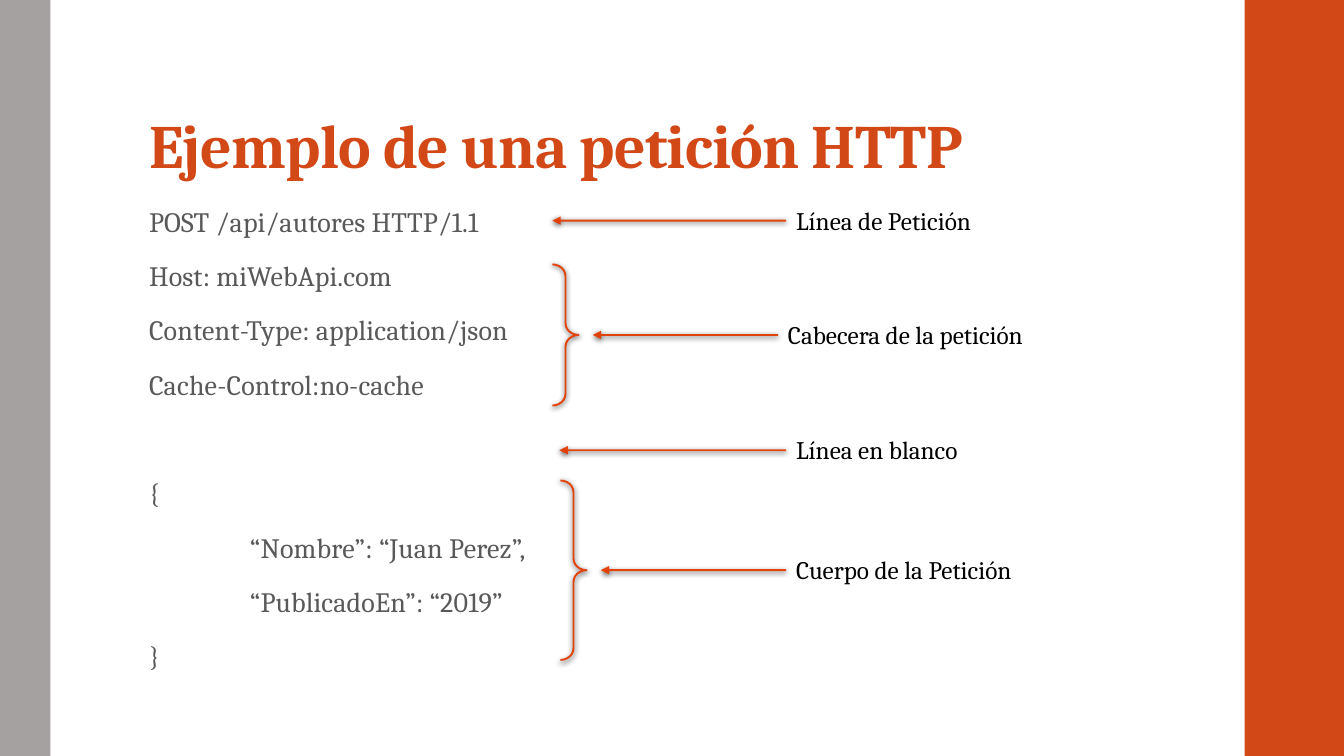
from lxml import etree
from pptx import Presentation
from pptx.dml.color import RGBColor
from pptx.enum import shapes, text
from pptx.oxml import parse_xml
from pptx.oxml.ns import nsdecls, qn
from pptx.util import Pt

WIDTH, HEIGHT = 960, 540
FONT = "Cambria"
ACCENT, GREY, BODY, MARK = "D34817", "A6A1A1", "595959", "E53C00"

# Request lines: text, indent, space before
REQUEST = [
    ("POST /api/autores HTTP/1.1", 0, 14),
    ("Host: miWebApi.com", 0, 14),
    ("Content-Type: application/json", 0, 14),
    ("Cache-Control:no-cache", 0, 14),
    ("{", 0, 52.7),
    ("“Nombre”: “Juan Perez”,", 72, 14),
    ("“PublicadoEn”: “2019”", 72, 14),
    ("}", 0, 14),
]

# Notes: label, arrow tip x, label x, arrow y, brace height (0 for none)
NOTES = [
    ("Línea de Petición", 394.6, 561.6, 157.6, 0),
    ("Cabecera de la petición", 423.4, 555.8, 239.3, 100.8),
    ("Línea en blanco", 399.6, 561.6, 321.6, 0),
    ("Cuerpo de la Petición", 429.1, 561.6, 407.3, 128.2),
]


def colour(value):
    return RGBColor.from_string(value)


def add_span(para, words, size, shade, bold=False, spacing=0):
    span = para.add_run()
    span.text = words
    span.font.name = FONT
    span.font.size = Pt(size)
    span.font.bold = bold
    span.font.color.rgb = colour(shade)
    if spacing:
        span.font._element.set("spc", str(spacing))


def add_box(page, left, top, width, height, anchor=text.MSO_ANCHOR.TOP):
    box = page.shapes.add_textbox(Pt(left), Pt(top), Pt(width), Pt(height))
    box.text_frame.word_wrap = True
    box.text_frame.vertical_anchor = anchor
    return box.text_frame


def style_mark(mark, arrow=False):
    """Orange line with a soft shadow, and an arrowhead if asked."""
    mark.line.color.rgb = colour(MARK)
    mark.line.width = Pt(1.35)
    properties = mark._element.spPr
    outline = properties.find(qn("a:ln"))
    shade = outline.find(qn("a:solidFill"))[0]
    etree.SubElement(shade, qn("a:alpha"), val="95000")
    if arrow:
        etree.SubElement(outline, qn("a:tailEnd"), type="triangle")
    properties.append(parse_xml(
        f'<a:effectLst {nsdecls("a")}><a:outerShdw blurRad="{Pt(4)}" '
        f'dist="{Pt(1.2)}" dir="5400000" algn="ctr" rotWithShape="0">'
        '<a:srgbClr val="000000"><a:alpha val="75000"/></a:srgbClr>'
        '</a:outerShdw></a:effectLst>'))


def add_band(page, left, width, shade):
    band = page.shapes.add_shape(
        shapes.MSO_SHAPE.RECTANGLE, Pt(left), 0, Pt(width), Pt(HEIGHT))
    band.shadow.inherit = False
    band.fill.solid()
    band.fill.fore_color.rgb = colour(shade)
    band.line.fill.background()


def add_title(page, left, top, width, height):
    frame = add_box(page, left, top, width, height, text.MSO_ANCHOR.BOTTOM)
    frame.margin_top = Pt(2.2)
    para = frame.paragraphs[0]
    para.line_spacing = 0.9
    add_span(para, "Ejemplo de una petición HTTP", 44, ACCENT, True, -50)


def add_request(page, left, top, width, height):
    frame = add_box(page, left, top, width, height)
    for number, (words, indent, before) in enumerate(REQUEST):
        para = frame.add_paragraph() if number else frame.paragraphs[0]
        para.line_spacing = 0.95
        para.space_before = Pt(before)
        para.space_after = Pt(2)
        para._p.get_or_add_pPr().set("marL", str(Pt(indent)))
        add_span(para, words, 20, BODY, spacing=10)


def add_note(page, label, tip, left, middle, brace_height):
    # Arrow pointing left from the label
    arrow = page.shapes.add_connector(
        shapes.MSO_CONNECTOR.STRAIGHT,
        Pt(left), Pt(middle), Pt(tip), Pt(middle))
    style_mark(arrow, arrow=True)
    # Label centred on the arrow
    frame = add_box(page, left, middle - 14.8, 235.4, 29)
    add_span(frame.paragraphs[0], label, 18, "000000")
    # Brace around the lines the note is about
    if brace_height:
        brace = page.shapes.add_shape(
            shapes.MSO_SHAPE.RIGHT_BRACE, Pt(tip - 28.8),
            Pt(middle - brace_height / 2), Pt(18.7), Pt(brace_height))
        brace.adjustments[0] = 0.447
        brace.fill.background()
        style_mark(brace)


def main():
    deck = Presentation()
    deck.slide_width, deck.slide_height = Pt(WIDTH), Pt(HEIGHT)
    page = deck.slides.add_slide(deck.slide_layouts[6])
    add_band(page, 889, 71, ACCENT)
    add_band(page, 0, 36, GREY)
    add_title(page, 99.4, 23, 763, 110.2)
    add_request(page, 99.4, 144, 677, 342.7)
    for note in NOTES:
        add_note(page, *note)
    deck.save("out.pptx")


if __name__ == "__main__":
    main()
